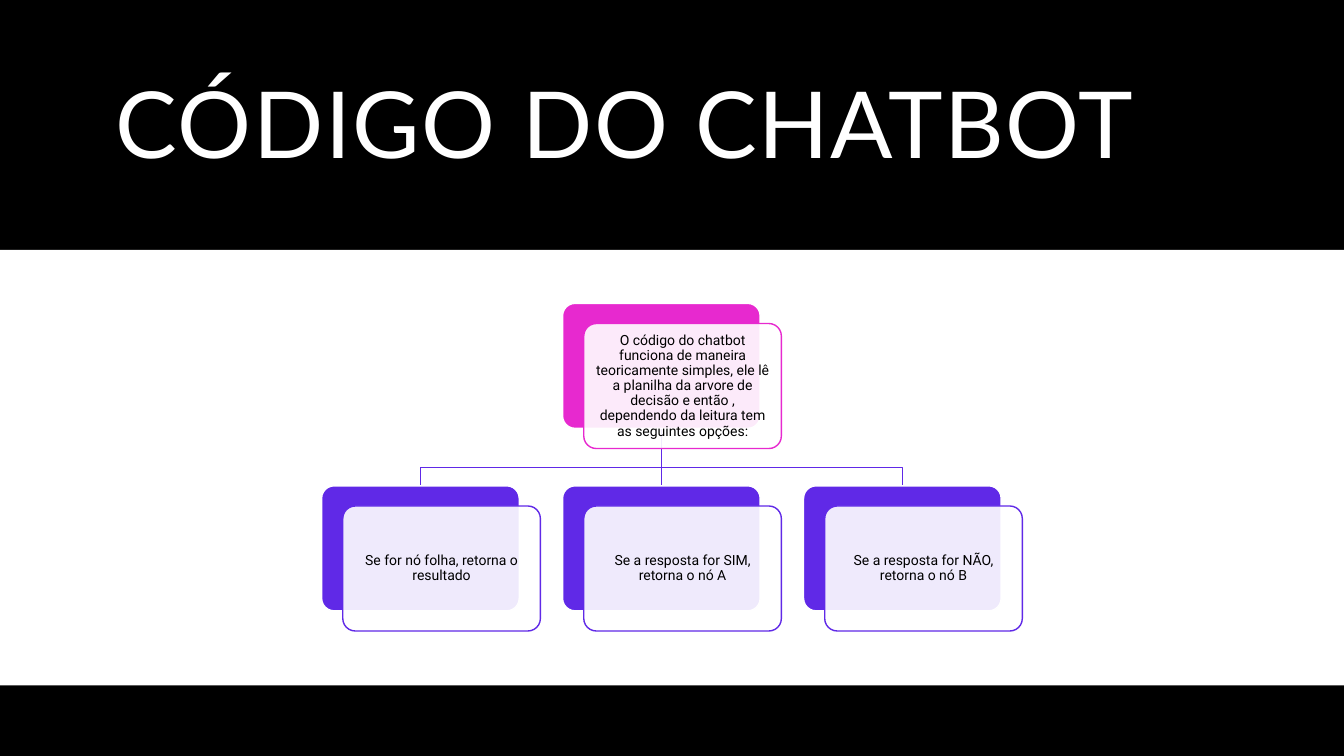
from lxml import etree
from pptx import Presentation
from pptx.dml.color import RGBColor
from pptx.enum import shapes, text
from pptx.oxml.ns import qn
from pptx.util import Inches, Pt

TITLE = "CÓDIGO DO CHATBOT"
ROOT = ("O código do chatbot funciona de maneira teoricamente simples, "
        "ele lê a planilha da arvore de decisão e então , "
        "dependendo da leitura tem as seguintes opções:")
OPTIONS = [
    "Se for nó folha, retorna o resultado",
    "Se a resposta for SIM, retorna o nó A",
    "Se a resposta for NÃO, retorna o nó B",
]
BLACK, WHITE, PINK, VIOLET = "000000", "FFFFFF", "E729CF", "6029E7"

PAGE_W, PAGE_H = 13.33, 7.5
PANEL_TOP, PANEL_H = 2.48, 4.32
CARD_W, CARD_H = 1.96, 1.24
SHIFT_X, SHIFT_Y = 0.21, 0.2       # front card relative to its back card
FIRST_X, STEP_X = 3.19, 2.39
ROOT_Y, OPTION_Y, BRANCH_Y = 3.01, 4.82, 4.64


def color(hex_code):
    return RGBColor.from_string(hex_code)


def add_block(page, kind, box, fill, line=None):
    block = page.shapes.add_shape(kind, *(Inches(v) for v in box))
    block.shadow.inherit = False
    block.fill.solid()
    block.fill.fore_color.rgb = color(fill)
    if line:
        block.line.color.rgb = color(line)
        block.line.width = Pt(1)
    else:
        block.line.fill.background()
    return block


def write(shape, words, size, font, hex_code, align):
    frame = shape.text_frame
    frame.word_wrap = True
    frame.vertical_anchor = text.MSO_ANCHOR.MIDDLE
    frame.text = words
    para = frame.paragraphs[0]
    para.alignment = align
    para.line_spacing = 0.9
    span = para.runs[0]
    span.font.size = Pt(size)
    span.font.name = font
    span.font.color.rgb = color(hex_code)
    return span


def add_branch(page, points):
    """Straight connector for two points, open bent line for more, in inches."""
    corners = [(Inches(x), Inches(y)) for x, y in points]
    if len(corners) == 2:
        branch = page.shapes.add_connector(
            shapes.MSO_CONNECTOR.STRAIGHT, *corners[0], *corners[1])
        etree.SubElement(branch._element.spPr, qn("a:effectLst"))
    else:
        builder = page.shapes.build_freeform(*corners[0])
        builder.add_line_segments(corners[1:], close=False)
        branch = builder.convert_to_shape()
        branch.shadow.inherit = False
        branch.fill.background()
    branch.line.color.rgb = color(VIOLET)
    branch.line.width = Pt(1)


def add_node(page, x, y, words, hue):
    """Solid back card with a translucent white text card in front."""
    rounded = shapes.MSO_SHAPE.ROUNDED_RECTANGLE
    back = add_block(page, rounded, (x, y, CARD_W, CARD_H), hue, WHITE)
    front = add_block(page, rounded,
                      (x + SHIFT_X, y + SHIFT_Y, CARD_W, CARD_H), WHITE, hue)
    for card in (back, front):
        card.adjustments[0] = 0.1
    fill_color = front._element.spPr.find(qn("a:solidFill"))[0]
    etree.SubElement(fill_color, qn("a:alpha")).set("val", "90000")
    frame = front.text_frame
    frame.margin_left = frame.margin_right = Inches(0.04)
    frame.margin_top = frame.margin_bottom = Inches(0.04)
    write(front, words, 10, "Roboto", BLACK, text.PP_ALIGN.CENTER)


def main():
    deck = Presentation()
    deck.slide_width, deck.slide_height = Inches(PAGE_W), Inches(PAGE_H)
    page = deck.slides.add_slide(deck.slide_layouts[6])

    rectangle = shapes.MSO_SHAPE.RECTANGLE
    add_block(page, rectangle, (0, 0, PAGE_W, PAGE_H), BLACK)
    title = page.shapes.add_textbox(*(Inches(v) for v in (1.05, 0.35, 11.23, 1.86)))
    span = write(title, TITLE, 66, "Lato", WHITE, text.PP_ALIGN.LEFT)
    span.font._element.set("spc", "120")
    add_block(page, rectangle, (0, PANEL_TOP, PAGE_W, PANEL_H), WHITE)

    option_xs = [FIRST_X + i * STEP_X for i in range(len(OPTIONS))]
    root_x = option_xs[len(OPTIONS) // 2]
    root_mid, root_bottom = root_x + CARD_W / 2, ROOT_Y + CARD_H
    for x in option_xs:
        mid = x + CARD_W / 2
        if x == root_x:
            bends = []
        else:
            bends = [(root_mid, BRANCH_Y), (mid, BRANCH_Y)]
        add_branch(page, [(root_mid, root_bottom), *bends, (mid, OPTION_Y)])

    add_node(page, root_x, ROOT_Y, ROOT, PINK)
    for x, words in zip(option_xs, OPTIONS):
        add_node(page, x, OPTION_Y, words, VIOLET)

    deck.save("out.pptx")


if __name__ == "__main__":
    main()
